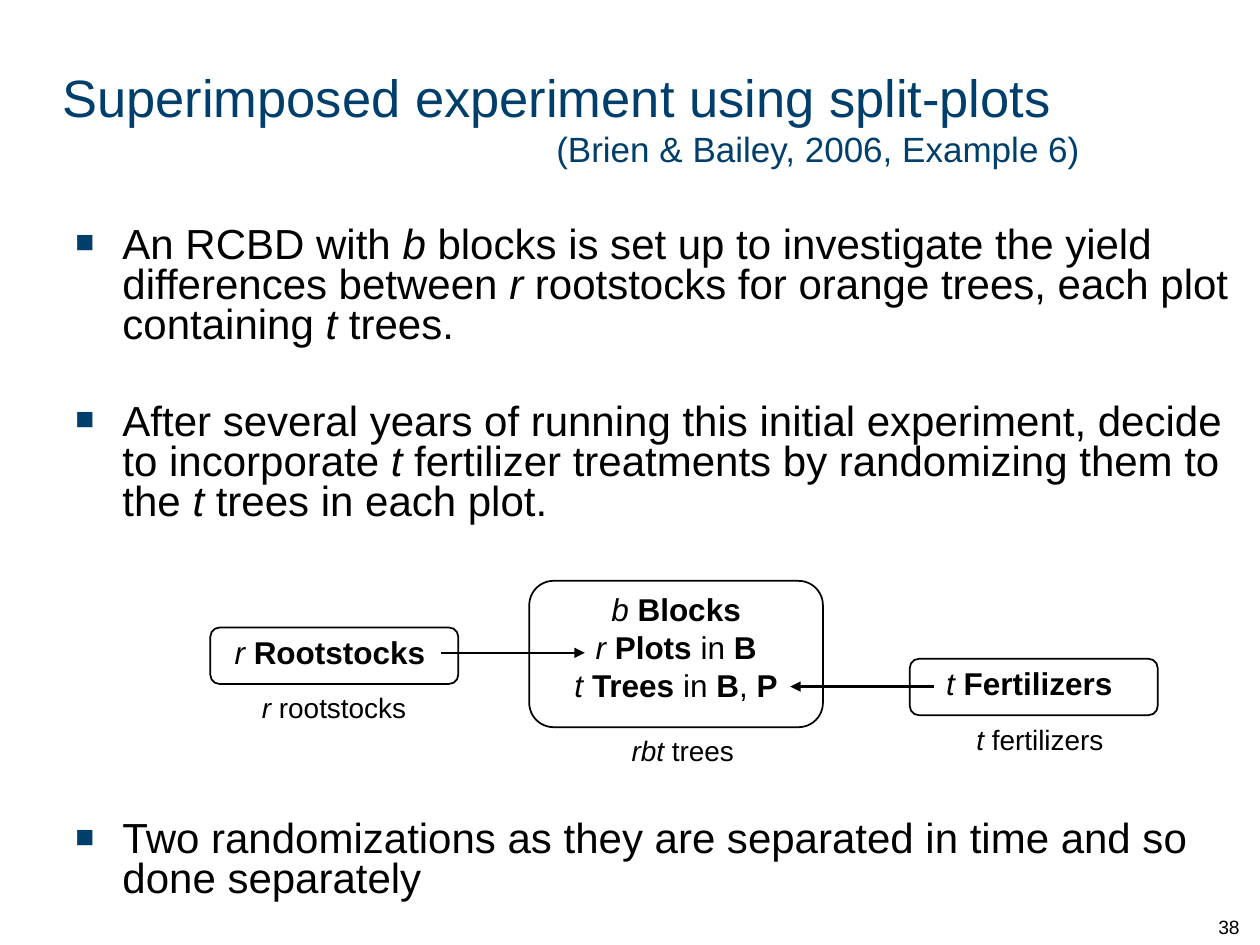
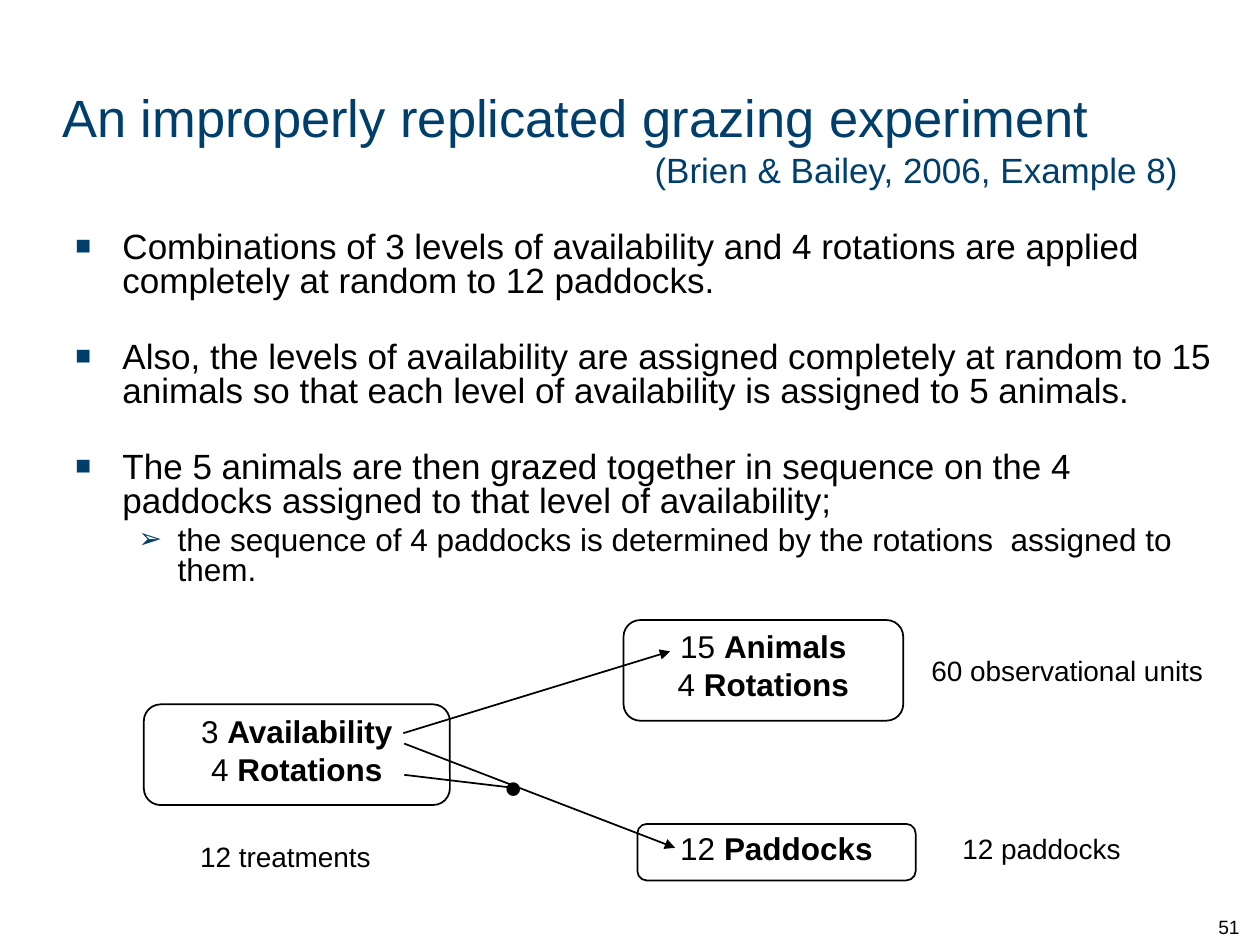
from dataclasses import dataclass
from typing import NamedTuple

from lxml.etree import SubElement
from pptx import Presentation
from pptx.dml.color import RGBColor
from pptx.enum.shapes import MSO_CONNECTOR, MSO_SHAPE
from pptx.enum.text import MSO_ANCHOR, MSO_AUTO_SIZE, PP_ALIGN
from pptx.oxml.ns import qn
from pptx.util import Cm, Pt


@dataclass(frozen=True)
class Theme:
    font: str = "Arial"
    navy: RGBColor = RGBColor(0x00, 0x3E, 0x6C)
    black: RGBColor = RGBColor(0, 0, 0)
    title: int = 30
    citation: int = 20
    factor: int = 18
    caption: int = 16
    page_number: int = 11
    bullet_line_spacing: float = 0.8


THEME = Theme()


class Area(NamedTuple):
    """Left, top, width and height in centimetres."""
    left: float
    top: float
    width: float
    height: float

    def lengths(self) -> list:
        return [Cm(value) for value in self]


class BulletStyle(NamedTuple):
    symbol: str
    percent: int
    margin: float
    hanging: float


SQUARE = BulletStyle("■", 75, 0.95, 0.95)
ARROW = BulletStyle("➢", 90, 2.06, 0.79)


class Bullet(NamedTuple):
    text: str
    size: int
    space_before: float = 0
    style: BulletStyle = SQUARE


class BulletList(NamedTuple):
    area: Area
    bullets: list[Bullet]


class FactorBox(NamedTuple):
    area: Area
    lines: list[str]


class Caption(NamedTuple):
    left: float
    top: float
    width: float
    text: str


class Link(NamedTuple):
    start: tuple[float, float]
    end: tuple[float, float]
    width: float = 1
    arrow: bool = True


class PageContent(NamedTuple):
    title: str
    citation: str
    citation_indent: float
    title_height: float
    number: str
    bullet_lists: list[BulletList]
    boxes: list[FactorBox]
    captions: list[Caption]
    links: list[Link]
    junctions: list[Area]


def style_font(font, size: int, color: RGBColor = THEME.black) -> None:
    font.name = THEME.font
    font.size = Pt(size)
    font.color.rgb = color


def write_spans(para, text: str, size: int) -> None:
    """Write text in which _x_ marks italics and *x* marks bold."""
    for italic_index, part in enumerate(text.split("_")):
        for bold_index, piece in enumerate(part.split("*")):
            if piece:
                span = para.add_run()
                span.text = piece
                style_font(span.font, size)
                span.font.italic = italic_index % 2 == 1
                span.font.bold = bold_index % 2 == 1


def add_text_box(page, area: Area, text: str, size: int, align=PP_ALIGN.LEFT,
                 anchor=MSO_ANCHOR.TOP, wrap: bool = True) -> None:
    frame = page.shapes.add_textbox(*area.lengths()).text_frame
    frame.word_wrap = wrap
    frame.vertical_anchor = anchor
    para = frame.paragraphs[0]
    para.alignment = align
    write_spans(para, text, size)


def set_indent(para, margin: float, hanging: float):
    properties = para._p.get_or_add_pPr()
    properties.set("marL", str(Cm(margin)))
    properties.set("indent", str(-Cm(hanging)))
    return properties


def add_title(page, content: PageContent) -> None:
    title = page.shapes.title
    area = Area(1, 1.27, 24.59, content.title_height)
    title.left, title.top, title.width, title.height = area.lengths()
    frame = title.text_frame
    frame.text = f"{content.title}\v{content.citation}"
    frame.word_wrap = True
    frame.auto_size = MSO_AUTO_SIZE.NONE
    frame.vertical_anchor = MSO_ANCHOR.MIDDLE
    para = frame.paragraphs[0]
    para.alignment = PP_ALIGN.LEFT
    set_indent(para, content.citation_indent, content.citation_indent)
    for span, size in zip(para.runs, (THEME.title, THEME.citation)):
        style_font(span.font, size, THEME.navy)


def add_bullet_list(page, bullet_list: BulletList) -> None:
    frame = page.shapes.add_textbox(*bullet_list.area.lengths()).text_frame
    frame.word_wrap = True
    for index, bullet in enumerate(bullet_list.bullets):
        para = frame.add_paragraph() if index else frame.paragraphs[0]
        style = bullet.style
        para.line_spacing = THEME.bullet_line_spacing
        para.space_before = Pt(bullet.space_before)
        properties = set_indent(para, style.margin, style.hanging)
        color = SubElement(properties, qn("a:buClr"))
        SubElement(color, qn("a:srgbClr"), val=str(THEME.navy))
        SubElement(properties, qn("a:buSzPct"), val=str(style.percent * 1000))
        SubElement(properties, qn("a:buFont"), typeface=THEME.font)
        SubElement(properties, qn("a:buChar"), char=style.symbol)
        write_spans(para, bullet.text, bullet.size)


def add_factor_box(page, box: FactorBox) -> None:
    shape = page.shapes.add_shape(MSO_SHAPE.ROUNDED_RECTANGLE,
                                  *box.area.lengths())
    shape.shadow.inherit = False
    shape.fill.background()
    shape.line.color.rgb = THEME.black
    shape.line.width = Pt(1)
    frame = shape.text_frame
    frame.margin_left = frame.margin_right = Cm(0.03)
    frame.margin_top = frame.margin_bottom = Cm(0.05)
    frame.vertical_anchor = MSO_ANCHOR.TOP
    for index, line in enumerate(box.lines):
        para = frame.add_paragraph() if index else frame.paragraphs[0]
        para.alignment = PP_ALIGN.CENTER
        write_spans(para, line, THEME.factor)


def add_link(page, link: Link) -> None:
    points = [Cm(value) for value in link.start + link.end]
    connector = page.shapes.add_connector(MSO_CONNECTOR.STRAIGHT, *points)
    connector.line.color.rgb = THEME.black
    connector.line.width = Pt(link.width)
    if link.arrow:
        SubElement(connector.line._get_or_add_ln(), qn("a:tailEnd"),
                   type="triangle")
    SubElement(connector._element.spPr, qn("a:effectLst"))


def add_page(deck, content: PageContent) -> None:
    page = deck.slides.add_slide(deck.slide_layouts[5])
    add_title(page, content)
    for bullet_list in content.bullet_lists:
        add_bullet_list(page, bullet_list)
    for box in content.boxes:
        add_factor_box(page, box)
    for caption in content.captions:
        area = Area(caption.left, caption.top, caption.width, 0.94)
        add_text_box(page, area, caption.text, THEME.caption, PP_ALIGN.CENTER)
    for link in content.links:
        add_link(page, link)
    for area in content.junctions:
        add_text_box(page, area, "●", THEME.factor, wrap=False)
    add_text_box(page, Area(24.31, 17.78, 1.07, 1.27), content.number,
                 THEME.page_number, anchor=MSO_ANCHOR.BOTTOM)


SPLIT_PLOTS = PageContent(
    title="Superimposed experiment using split-plots",
    citation="(Brien & Bailey, 2006, Example 6)",
    citation_indent=9.96,
    title_height=2.18,
    number="38",
    bullet_lists=[
        BulletList(Area(1.27, 4.45, 24.13, 6.2), [
            Bullet("An RCBD with _b_ blocks is set up to investigate the yield "
                   "differences between _r_ rootstocks for orange trees, each "
                   "plot containing _t_ trees.", 24),
            Bullet("After several years of running this initial experiment, "
                   "decide to incorporate _t_ fertilizer treatments by "
                   "randomizing them to the _t_ trees in each plot.", 24, 32),
        ]),
        BulletList(Area(1.27, 16.43, 24.13, 2.01), [
            Bullet("Two randomizations as they are separated in time and so "
                   "done separately", 24),
        ]),
    ],
    boxes=[
        FactorBox(Area(10.67, 11.71, 5.92, 2.95),
                  ["_b _*Blocks*", "_r _*Plots* in *B*",
                   "_t _*Trees* in *B*, *P*"]),
        FactorBox(Area(4.24, 12.65, 5, 1.14), ["_r _*Rootstocks *"]),
        FactorBox(Area(18.34, 13.28, 5, 1.14), ["_t _*Fertilizers *"]),
    ],
    captions=[
        Caption(11.58, 14.66, 4.37, "_rbt_ trees"),
        Caption(4.78, 13.79, 3.91, "_r_ rootstocks"),
        Caption(18.87, 14.45, 4.19, "_t_ fertilizers"),
    ],
    links=[
        Link((8.89, 13.16), (11.79, 13.16), 1.5),
        Link((18.82, 13.84), (15.93, 13.84), 1.5),
    ],
    junctions=[],
)

GRAZING = PageContent(
    title="An improperly replicated grazing experiment",
    citation="(Brien & Bailey, 2006, Example 8)",
    citation_indent=11.94,
    title_height=3.02,
    number="51",
    bullet_lists=[
        BulletList(Area(1.27, 4.57, 23.52, 8.03), [
            Bullet("Combinations of 3 levels of availability and 4 rotations "
                   "are applied completely at random to 12 paddocks.", 20),
            Bullet("Also, the levels of availability are assigned completely "
                   "at random to 15 animals so that each level of availability "
                   "is assigned to 5 animals.", 20, 24.5),
            Bullet("The 5 animals are then grazed together in sequence on the "
                   "4 paddocks assigned to that level of availability;",
                   20, 24.5),
            Bullet("the sequence of 4 paddocks is determined by the rotations  "
                   "assigned to them.", 18, 4, ARROW),
        ]),
    ],
    boxes=[
        FactorBox(Area(12.57, 12.5, 5.64, 2.03),
                  ["15 *Animals*", "4 *Rotations*"]),
        FactorBox(Area(2.9, 14.2, 6.17, 2.03),
                  ["3 *Availability*", "4 *Rotations*"]),
        FactorBox(Area(12.85, 16.61, 5.61, 1.14), ["12 *Paddocks*"]),
    ],
    captions=[
        Caption(18.34, 13.06, 6.35, "60 observational units"),
        Caption(3.66, 16.79, 4.19, "12 treatments"),
        Caption(18.9, 16.64, 4.19, "12 paddocks"),
    ],
    links=[
        Link((8.13, 14.78), (13.51, 13.13)),
        Link((8.15, 14.99), (13.61, 17.09)),
        Link((8.15, 15.62), (10.34, 15.88), arrow=False),
    ],
    junctions=[Area(9.91, 15.34, 1.07, 1.02)],
)


def main() -> None:
    deck = Presentation()
    deck.slide_width, deck.slide_height = Cm(25.4), Cm(19.05)
    for content in (SPLIT_PLOTS, GRAZING):
        add_page(deck, content)
    deck.save("out.pptx")


if __name__ == "__main__":
    main()
